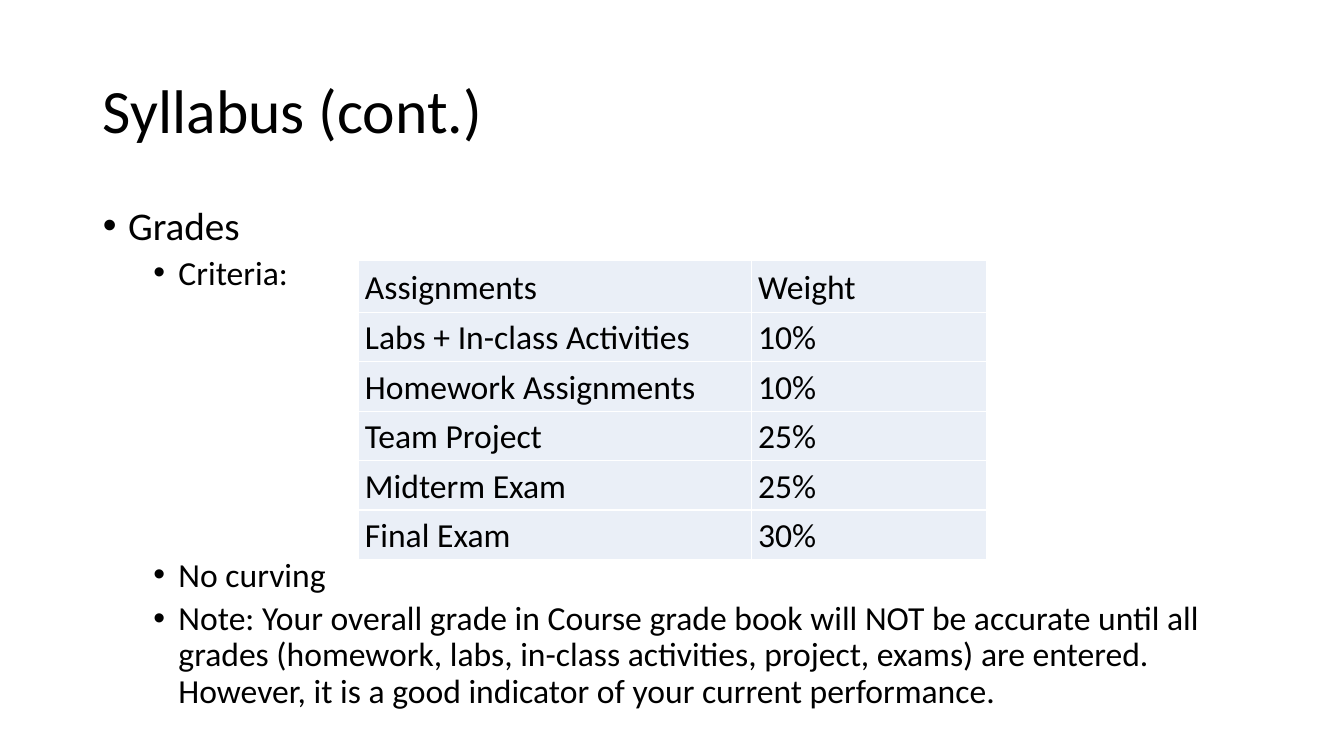
from dataclasses import dataclass

import pptx
import pptx.dml.color
import pptx.enum.text
import pptx.oxml.ns
import pptx.util
from lxml import etree
from pptx.util import Inches, Pt

FONT = "Calibri"
COLORS = {"text": "000000", "cell": "EAEFF7", "border": "FFFFFF"}


@dataclass
class Bullet:
    text: str
    level: int
    size: int
    before: int


@dataclass
class Grade:
    assignment: str
    weight: str


BULLETS = [
    Bullet("Grades", 0, 28, 10),
    Bullet("Criteria:", 1, 24, 5),
    Bullet("No curving", 1, 24, 190),
    Bullet(
        "Note: Your overall grade in Course grade book will NOT be accurate until all "
        "grades (homework, labs, in-class activities, project, exams) are entered. "
        "However, it is a good indicator of your current performance.",
        1, 24, 5,
    ),
]
GRADES = [
    Grade("Assignments", "Weight"),
    Grade("Labs + In-class Activities", "10%"),
    Grade("Homework Assignments", "10%"),
    Grade("Team Project", "25%"),
    Grade("Midterm Exam", "25%"),
    Grade("Final Exam", "30%"),
]


def rgb(name: str) -> pptx.dml.color.RGBColor:
    return pptx.dml.color.RGBColor.from_string(COLORS[name])


def add_child(parent: etree._Element, tag: str, **attributes: str) -> etree._Element:
    return etree.SubElement(parent, pptx.oxml.ns.qn(tag), attributes)


def format_text(p: pptx.text.text._Paragraph, size: int, spacing: float) -> None:
    p.alignment = pptx.enum.text.PP_ALIGN.LEFT
    p.line_spacing = spacing
    p.font.name = FONT
    p.font.size = Pt(size)
    p.font.color.rgb = rgb("text")


def place(sp: pptx.shapes.base.BaseShape, left: float, top: float,
          width: float, height: float) -> None:
    sp.left, sp.top = Inches(left), Inches(top)
    sp.width, sp.height = Inches(width), Inches(height)


def write_bullet(p: pptx.text.text._Paragraph, bullet: Bullet) -> None:
    p.text = bullet.text
    p.level = bullet.level
    pPr = p._p.get_or_add_pPr()
    pPr.set("marL", str(Inches(0.25 + 0.5 * bullet.level)))
    pPr.set("indent", str(Inches(-0.25)))
    add_child(pPr, "a:buFont", typeface="Arial")
    add_child(pPr, "a:buChar", char="•")
    p.space_before = Pt(bullet.before)
    format_text(p, bullet.size, 0.9)


def write_cell(cell: pptx.table._Cell, text: str) -> None:
    cell.text = text
    cell.vertical_anchor = pptx.enum.text.MSO_ANCHOR.MIDDLE
    cell.margin_left = cell.margin_right = Inches(0.07)
    cell.margin_top = cell.margin_bottom = 0
    format_text(cell.text_frame.paragraphs[0], 24, 1.07)
    tcPr = cell._tc.get_or_add_tcPr()
    for side in ("a:lnL", "a:lnR", "a:lnT", "a:lnB"):
        line = add_child(tcPr, side, w=str(Pt(1)))
        add_child(add_child(line, "a:solidFill"), "a:srgbClr", val=COLORS["border"])
    cell.fill.solid()
    cell.fill.fore_color.rgb = rgb("cell")


def add_grades(s: pptx.slide.Slide, grades: list[Grade]) -> None:
    table = s.shapes.add_table(
        len(grades), 2, Inches(3.55), Inches(2.58), Inches(6.24), Inches(2.97)
    ).table
    table.first_row = table.horz_banding = False
    for column, width in zip(table.columns, (3.9, 2.34)):
        column.width = Inches(width)
    for i, (row, grade) in enumerate(zip(table.rows, grades)):
        row.height = Inches(0.49 if i else 0.52)
        write_cell(row.cells[0], grade.assignment)
        write_cell(row.cells[1], grade.weight)


def main() -> None:
    prs = pptx.Presentation()
    prs.slide_width, prs.slide_height = Inches(13.33), Inches(7.5)
    s = prs.slides.add_slide(prs.slide_layouts[1])
    title, body = s.placeholders
    place(title, 0.92, 0.4, 11.5, 1.45)
    title.text_frame.text = "Syllabus (cont.)"
    format_text(title.text_frame.paragraphs[0], 44, 0.9)

    place(body, 0.92, 2, 11.5, 5.29)
    tf = body.text_frame
    for sp in (title, body):
        sp.text_frame.auto_size = pptx.enum.text.MSO_AUTO_SIZE.NONE
    for i, bullet in enumerate(BULLETS):
        p = tf.add_paragraph() if i else tf.paragraphs[0]
        write_bullet(p, bullet)

    add_grades(s, GRADES)
    prs.save("out.pptx")


if __name__ == "__main__":
    main()
